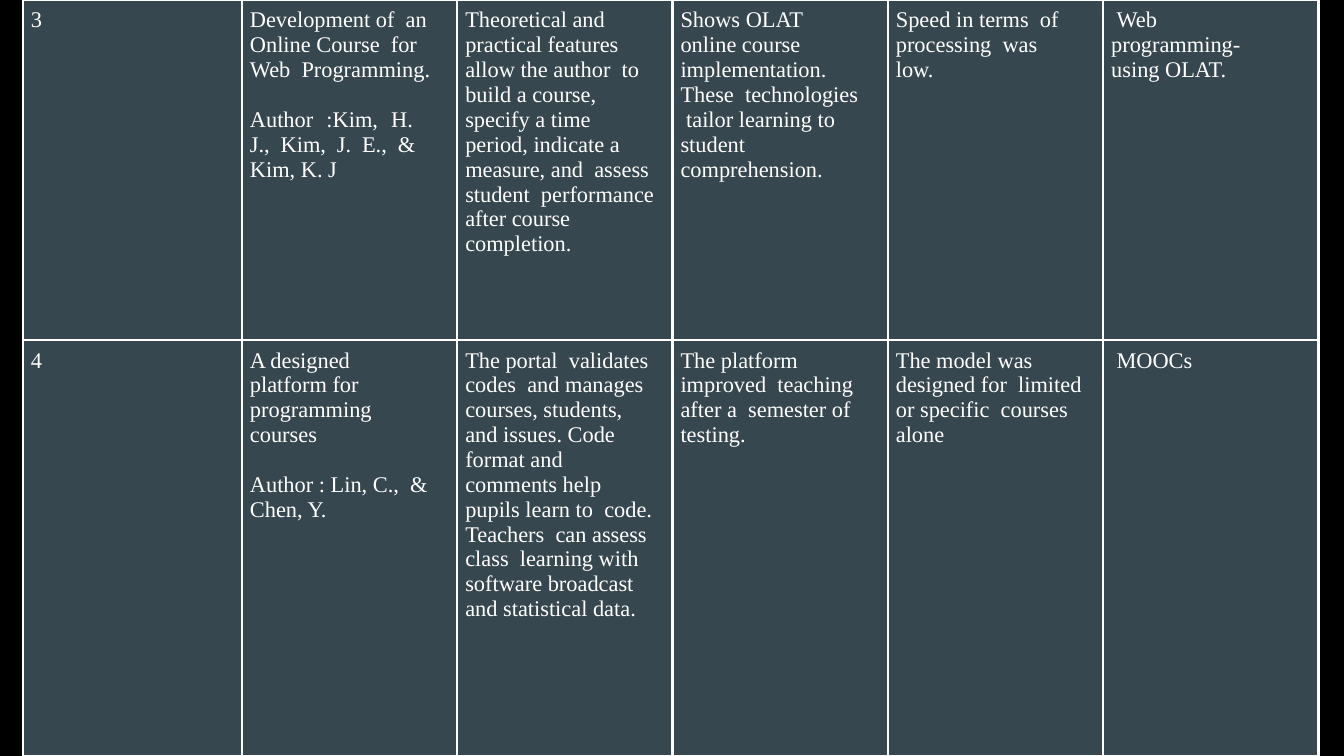
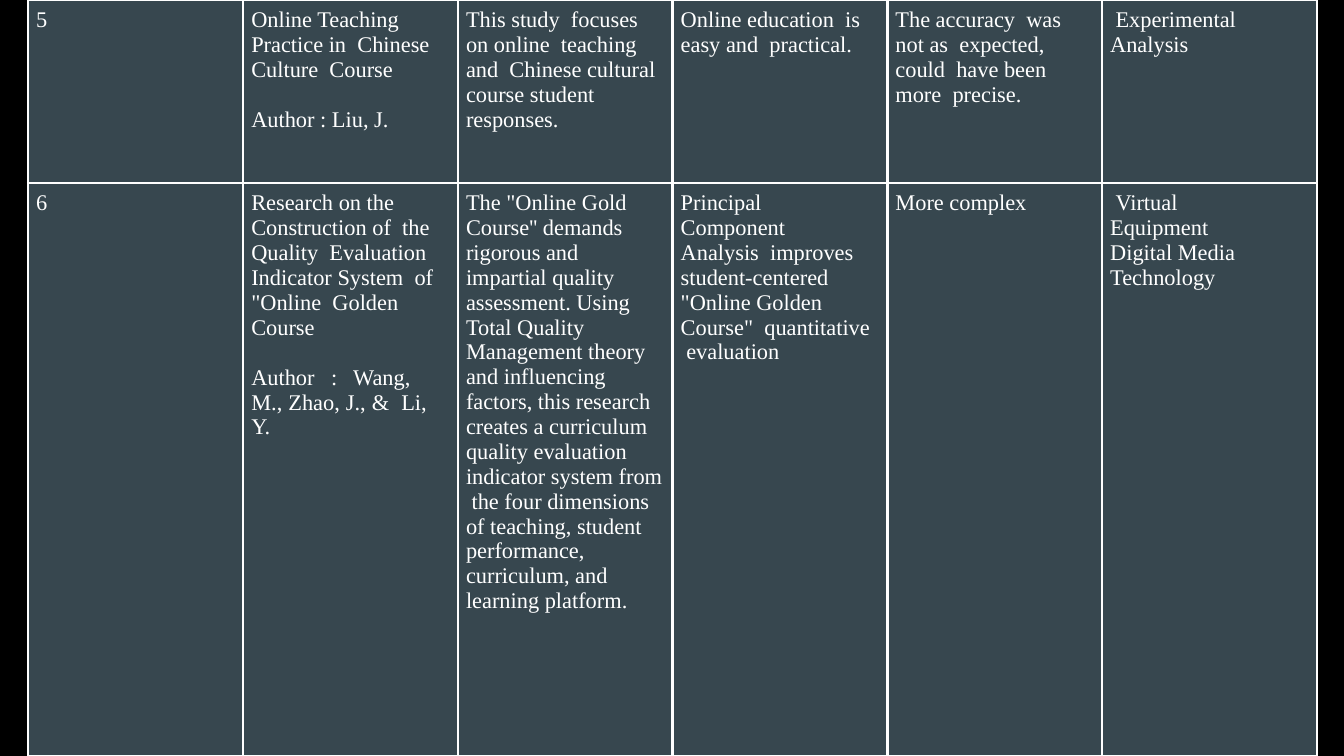
"""Build two slides of a literature review table on online courses."""
from dataclasses import dataclass

from lxml import etree
from pptx import Presentation
from pptx.dml.color import RGBColor
from pptx.enum.text import PP_ALIGN
from pptx.oxml.ns import qn
from pptx.util import Inches, Pt

LEFT, JUSTIFY = PP_ALIGN.LEFT, PP_ALIGN.JUSTIFY
WIDTH = 10
HEIGHT = WIDTH * 9 / 16
BLANK_LAYOUT = 6


@dataclass(frozen=True)
class Theme:
    """Colours, type and line sizes shared by the slides."""
    back: str = "000000"
    fill: str = "37474F"
    ink: str = "FFFFFF"
    font: str = "Times New Roman"
    size: float = 12
    author_gap: float = 13.5
    border: float = 1.5


THEME = Theme()

PAGES = [
    {
        "left": 0.17, "width": 9.64, "first_column": 1.63, "first_row": 2.53,
        "rows": [
            ["3",
             ("Development of  an Online Course  for Web  Programming.",
              "Author :Kim, H.  J., Kim, J. E., &  Kim, K. J"),
             "Theoretical and  practical features  allow the author  to build a course,  "
             "specify a time  period, indicate a  measure, and  assess student  performance  "
             "after course  completion.",
             "Shows OLAT  online course  implementation.  These  technologies  "
             "tailor learning to  student  comprehension.",
             "Speed in terms  of processing  was low.",
             "Web  programming-  using OLAT."],
            ["4",
             ("A designed  platform for  programming  courses",
              "Author : Lin, C.,  & Chen, Y."),
             "The portal  validates codes  and manages  courses, students,  and issues. Code  "
             "format and  comments help  pupils learn to  code. Teachers  can assess class  "
             "learning with  software broadcast  and statistical data.",
             "The platform  improved  teaching after a  semester of  testing.",
             "The model was  designed for  limited or specific  courses alone",
             "MOOCs"],
        ],
    },
    {
        "left": 0.21, "width": 9.59, "first_column": 1.6, "first_row": 1.36,
        "rows": [
            ["5",
             ("Online Teaching  Practice in  Chinese Culture  Course",
              "Author : Liu, J."),
             "This study  focuses on online  teaching and  Chinese cultural  "
             "course student  responses.",
             "Online education  is easy and  practical.",
             "The accuracy  was not as  expected, could  have been more  precise.",
             "Experimental  Analysis"],
            ["6",
             ("Research on the  Construction of  the Quality  Evaluation  Indicator System  "
              "of \"Online  Golden Course",
              "Author : Wang,  M., Zhao, J., &  Li, Y."),
             "The \"Online Gold  Course'' demands  rigorous and  impartial quality  assessment. "
             "Using  Total Quality  Management theory  and influencing  factors, this research  "
             "creates a curriculum  quality evaluation  indicator system from  the four "
             "dimensions  of teaching, student  performance,  curriculum, and  "
             "learning platform.",
             "Principal  Component  Analysis  improves  student-centered  "
             "\"Online Golden  Course\"  quantitative  evaluation",
             "More complex",
             "Virtual  Equipment  Digital Media  Technology"],
        ],
    },
]

TEXT_LEFT, TECHNIQUE_INDENT, JUSTIFIED_RIGHT = 0.06, 0.04, 0.23
COLUMN_RIGHTS = [0.1, 0.16, 0.07, 0.12, 0.1, 0.3]
CELL_RIGHTS = {("3", 3): 0.18, ("3", 4): 0.25}
JUSTIFIED_ROWS = {"3", "6"}
TECHNIQUE_COLUMN = len(COLUMN_RIGHTS) - 1
CELL_MARGINS = {"margin_left": 0, "margin_top": Inches(0.06),
                "margin_right": 0, "margin_bottom": 0}


def set_all(target, values):
    """Set each named attribute of the target."""
    for name, value in values.items():
        setattr(target, name, value)


def paint(fill, colour):
    """Give a fill one solid colour."""
    fill.solid()
    fill.fore_color.rgb = RGBColor.from_string(colour)


def add_borders(cell):
    """Draw the four borders of a cell."""
    properties = cell._tc.get_or_add_tcPr()
    for side in ("a:lnL", "a:lnR", "a:lnT", "a:lnB"):
        line = etree.SubElement(properties, qn(side), w=str(Pt(THEME.border)))
        solid = etree.SubElement(line, qn("a:solidFill"))
        etree.SubElement(solid, qn("a:srgbClr"), val=THEME.ink)


def write_paragraph(para, text, right, indent, align, gap):
    """Write one paragraph with its indents and spacing."""
    properties = para._p.get_or_add_pPr()
    for name, length in {"marL": TEXT_LEFT, "marR": right, "indent": indent}.items():
        properties.set(name, str(Inches(length)))
    set_all(para, {"alignment": align, "space_before": Pt(gap)})
    span = para.add_run()
    span.text = text
    set_all(span.font, {"name": THEME.font, "size": Pt(THEME.size), "bold": False})
    span.font.color.rgb = RGBColor.from_string(THEME.ink)


def fill_cell(cell, content, number, column):
    """Format a cell and write its paragraphs."""
    set_all(cell, CELL_MARGINS)
    add_borders(cell)
    paint(cell.fill, THEME.fill)
    texts = (content,) if isinstance(content, str) else content
    indent = TECHNIQUE_INDENT if column == TECHNIQUE_COLUMN else 0
    frame = cell.text_frame
    for index, text in enumerate(texts):
        para = frame.add_paragraph() if index else frame.paragraphs[0]
        justified = index > 0 and number in JUSTIFIED_ROWS
        right = CELL_RIGHTS.get((number, column), COLUMN_RIGHTS[column])
        write_paragraph(para, text, JUSTIFIED_RIGHT if justified else right, indent,
                        JUSTIFY if justified else LEFT, THEME.author_gap if index else 0)


def add_page(deck, content):
    """Add a slide with its review table."""
    page = deck.slides.add_slide(deck.slide_layouts[BLANK_LAYOUT])
    paint(page.background.fill, THEME.back)
    rows, columns = content["rows"], len(COLUMN_RIGHTS)
    table = page.shapes.add_table(
        len(rows), columns, Inches(content["left"]), 0,
        Inches(content["width"]), Inches(HEIGHT)).table
    set_all(table, {"first_row": False, "horz_banding": False})
    first, top = content["first_column"], content["first_row"]
    widths = [first] + [(content["width"] - first) / (columns - 1)] * (columns - 1)
    for column, width in zip(table.columns, widths):
        column.width = Inches(width)
    for row, height in zip(table.rows, (top, HEIGHT - top)):
        row.height = Inches(height)
    for row, cells in zip(table.rows, rows):
        for column, text in enumerate(cells):
            fill_cell(row.cells[column], text, cells[0], column)


def main():
    """Build and save the deck."""
    deck = Presentation()
    set_all(deck, {"slide_width": Inches(WIDTH), "slide_height": Inches(HEIGHT)})
    for content in PAGES:
        add_page(deck, content)
    deck.save("out.pptx")


if __name__ == "__main__":
    main()
